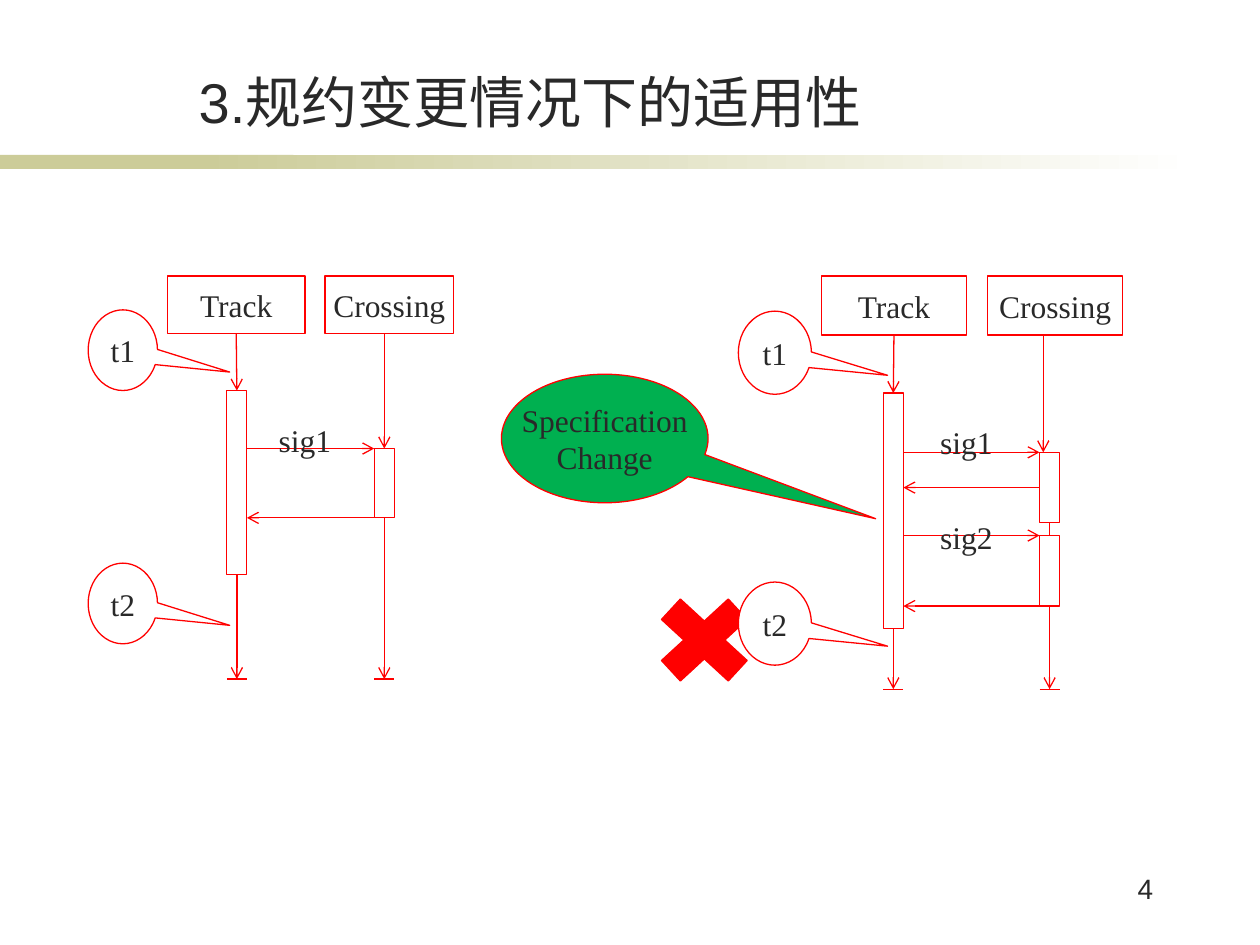
import pptx
import pptx.dml.color
import pptx.enum.shapes
import pptx.enum.text
import pptx.oxml
import pptx.oxml.ns
import pptx.shapes.autoshape
import pptx.util

COLORS = {"ink": "292929", "red": "FF0000", "green": "00B050",
          "white": "FFFFFF", "olive": "CCCC99"}
COLS, ROWS = 100, 75
TOP, LEFT, BOTTOM, RIGHT = range(4)
BAR_W = 1.6
SHAPE = pptx.enum.shapes.MSO_SHAPE
ALIGN = pptx.enum.text.PP_ALIGN
ANCHOR = pptx.enum.text.MSO_ANCHOR

# Boxes are (left, top, width, height) in grid cells
DIAGRAMS = [
    {"track": (13.3, 21.9, 10.9, 4.6), "crossing": (25.8, 21.9, 10.2, 4.6),
     "bar": (18, 31, BAR_W, 14.6), "lane_x": 29.7, "enter_x": None, "end": 53.9,
     "calls": [{"label": "sig1", "box": (21.1, 32.9, 6.2, 4), "y": 35.6,
                "height": 5.5, "reply": BOTTOM}],
     "notes": [("t1", (7, 24.6, 5.5, 6.4)), ("t2", (7, 44.7, 5.5, 6.4))]},
    {"track": (65.2, 21.9, 11.5, 4.7), "crossing": (78.4, 21.9, 10.7, 4.7),
     "bar": (70.1, 31.2, BAR_W, 18.7), "lane_x": 82.5, "enter_x": 82.8, "end": 54.7,
     "calls": [{"label": "sig1", "box": (73.4, 33.1, 6.6, 4), "y": 35.9,
                "height": 5.6, "reply": LEFT},
               {"label": "sig2", "box": (73.4, 40.6, 6.6, 4), "y": 42.5,
                "height": 5.6, "reply": BOTTOM}],
     "notes": [("t1", (58.6, 24.7, 5.8, 6.6)), ("t2", (58.6, 46.2, 5.8, 6.6))]},
]


class Deck:
    def __init__(self):
        self.prs = pptx.Presentation()
        self.prs.slide_width = pptx.util.Inches(10)
        self.prs.slide_height = pptx.util.Inches(7.5)
        self.s = self.prs.slides.add_slide(self.prs.slide_layouts[6])
        self.font = {"name": "Times New Roman", "size": pptx.util.Pt(18),
                     "color": "ink"}
        self.line_width = pptx.util.Pt(0.75)

    def rgb(self, name):
        return pptx.dml.color.RGBColor.from_string(COLORS[name])

    def x(self, col):
        return round(self.prs.slide_width * col / COLS)

    def y(self, row):
        return round(self.prs.slide_height * row / ROWS)

    def place(self, box):
        left, top, width, height = box
        return self.x(left), self.y(top), self.x(width), self.y(height)

    def set_text(self, sp, text, align=ALIGN.CENTER, anchor=ANCHOR.MIDDLE,
                 inset=(0.1, 0.05), **changes):
        tf = sp.text_frame
        side, edge = (pptx.util.Inches(v) for v in inset)
        frame = {"word_wrap": False, "vertical_anchor": anchor,
                 "margin_left": side, "margin_right": side,
                 "margin_top": edge, "margin_bottom": edge}
        for key, value in frame.items():
            setattr(tf, key, value)
        style = {**self.font, **changes}
        color = style.pop("color")
        for i, words in enumerate(text.split("\n")):
            p = tf.paragraphs[0] if i == 0 else tf.add_paragraph()
            p.alignment = align
            r = p.add_run()
            r.text = words
            for key, value in style.items():
                setattr(r.font, key, value)
            r.font.color.rgb = self.rgb(color)

    def text(self, text, box, **style):
        self.set_text(self.s.shapes.add_textbox(*self.place(box)), text, **style)

    def shape(self, box, kind=SHAPE.RECTANGLE, text=None, fill="white",
              line="red", adjust=()):
        sp = self.s.shapes.add_shape(kind, *self.place(box))
        sp.shadow.inherit = False
        for i, value in enumerate(adjust):
            sp.adjustments[i] = value
        sp.fill.solid()
        sp.fill.fore_color.rgb = self.rgb(fill)
        if line:
            sp.line.color.rgb = self.rgb(line)
            sp.line.width = self.line_width
        else:
            sp.line.fill.background()
        if text:
            self.set_text(sp, text)
        return sp

    def fade(self, box, start, end):
        sp = self.shape(box, line=None)
        sp.fill.gradient()
        sp.fill.gradient_angle = 0
        for stop, name in zip(sp.fill.gradient_stops, (start, end)):
            stop.color.rgb = self.rgb(name)

    def callout(self, text, box, adjust=(1.542, 0.271), fill="white"):
        self.shape(box, SHAPE.OVAL_CALLOUT, text, fill, adjust=adjust)

    def line(self, start, end, arrow=True):
        """Each end is a (column, row) point or a (shape, side) joint."""
        joints = [isinstance(e[0], pptx.shapes.autoshape.Shape)
                  for e in (start, end)]
        points = [(0, 0) if joint else (self.x(e[0]), self.y(e[1]))
                  for e, joint in zip((start, end), joints)]
        c = self.s.shapes.add_connector(
            pptx.enum.shapes.MSO_CONNECTOR.STRAIGHT, *points[0], *points[1])
        if joints[0]:
            c.begin_connect(*start)
        if joints[1]:
            c.end_connect(*end)
        c.line.color.rgb = self.rgb("red")
        c.line.width = self.line_width
        props = c.element.spPr
        if arrow:
            props.find(pptx.oxml.ns.qn("a:ln")).append(pptx.oxml.parse_xml(
                "<a:tailEnd %s type='arrow'/>" % pptx.oxml.ns.nsdecls("a")))
        props.append(pptx.oxml.parse_xml(
            "<a:effectLst %s/>" % pptx.oxml.ns.nsdecls("a")))

    def lifeline_end(self, bar, left, row):
        self.line((bar, BOTTOM), (left + BAR_W / 2, row))
        self.line((left, row), (left + BAR_W, row), arrow=False)

    def sequence(self, track, crossing, bar, lane_x, enter_x, end, calls, notes):
        # Heads and the track's activation bar
        head = self.shape(track, text="Track")
        self.shape(crossing, text="Crossing")
        track_bar = self.shape(bar)
        self.line((head, BOTTOM), (track_bar, TOP))
        self.lifeline_end(track_bar, bar[0], end)
        bar_right = bar[0] + BAR_W
        middle = lane_x + BAR_W / 2

        # Signals, the bars they start and the replies
        for i, call in enumerate(calls):
            row = call["y"]
            lane = self.shape((lane_x, row, BAR_W, call["height"]))
            if i == 0:
                goal = (enter_x, row) if enter_x else (lane, TOP)
                self.line((enter_x or middle, crossing[1] + crossing[3]), goal)
                self.lifeline_end(lane, lane_x, end)
            self.line((bar_right, row), (lane_x, row))
            share = 1 if call["reply"] == BOTTOM else 0.5
            self.line((lane, call["reply"]),
                      (bar_right, row + share * call["height"]))
            self.text(call["label"], call["box"], anchor=ANCHOR.TOP)

        for label, box in notes:
            self.callout(label, box)


def main():
    deck = Deck()

    # Title, rule and page number
    deck.shape((0, 12.3, 23.3, 1.1), fill="olive", line=None)
    deck.fade((15.8, 12.3, 79.2, 1.1), "olive", "white")
    deck.text("3.规约变更情况下的适用性", (11.4, 4.4, 61.4, 6.3), anchor=ANCHOR.BOTTOM,
              inset=(0, 0), name="Arial", size=pptx.util.Pt(32))
    deck.text("4", (82.3, 68.7, 10.2, 5), align=ALIGN.RIGHT, anchor=ANCHOR.TOP,
              name="Arial", size=pptx.util.Pt(16))

    # Cross behind the second diagram's t2
    deck.shape((50.8, 46.1, 10.2, 9.4), SHAPE.MATH_MULTIPLY, fill="red")

    # Sequence diagrams before and after the change
    for diagram in DIAGRAMS:
        deck.sequence(**diagram)
    deck.callout("Specification\nChange", (39.8, 29.7, 16.4, 10.2),
                 (1.311, 0.624), "green")

    deck.prs.save("out.pptx")


if __name__ == "__main__":
    main()
